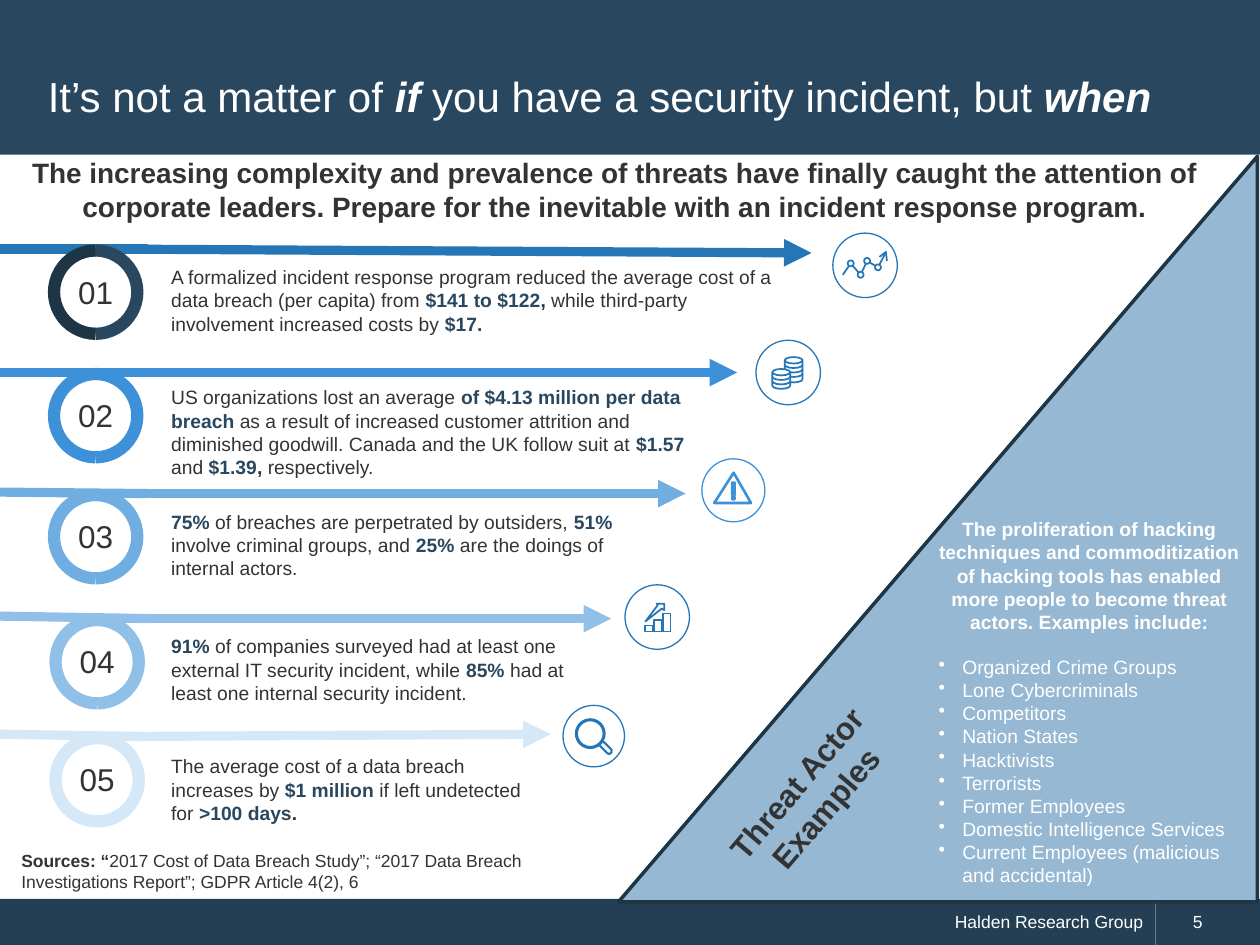
from lxml.etree import SubElement
from pptx import Presentation
from pptx.dml.color import RGBColor
from pptx.enum.shapes import MSO_CONNECTOR, MSO_SHAPE as Preset
from pptx.enum.text import MSO_ANCHOR as Anchor, PP_ALIGN as Align
from pptx.oxml.ns import qn
from pptx.util import Cm, Pt

COLORS = {
    "white": "FFFFFF", "text": "333333", "navy": "29475F", "footer": "243F54",
    "dark": "1E3546", "panel": "96B8D2", "icon": "2576B7",
    "blue2": "3C91D8", "blue3": "70AEE2", "blue4": "90C0E8", "blue5": "D5E8F7",
}
RING = 1.68  # diameter of the numbered rings


def rgb(name):
    return RGBColor.from_string(COLORS[name])


def strong(text, color="navy"):
    return text, {"bold": True, "color": color}


def paint(shape, fill=None, line=None, weight=1):
    shape.shadow.inherit = False
    if fill:
        shape.fill.solid()
        shape.fill.fore_color.rgb = rgb(fill)
    else:
        shape.fill.background()
    if line:
        shape.line.color.rgb = rgb(line)
        shape.line.width = Pt(weight)
    else:
        shape.line.fill.background()
    return shape


def add_preset(slide, preset, left, top, width, height, **style):
    shape = slide.shapes.add_shape(preset, Cm(left), Cm(top), Cm(width), Cm(height))
    return paint(shape, **style)


def add_arc(slide, box, start, end, **style):
    """Arc of the ellipse in box, clockwise between two angles in degrees."""
    arc = add_preset(slide, Preset.ARC, *box, **style)
    arc.adjustments[0], arc.adjustments[1] = start * 0.6, end * 0.6


def add_outline(slide, left, top, points, close=True, **style):
    corners = [(Cm(left + x), Cm(top + y)) for x, y in points]
    builder = slide.shapes.build_freeform(*corners[0], scale=1.0)
    builder.add_line_segments(corners[1:], close=close)
    return paint(builder.convert_to_shape(), **style)


def add_line(slide, start, end, color, weight=5.25, arrow=False):
    line = slide.shapes.add_connector(
        MSO_CONNECTOR.STRAIGHT, *(Cm(value) for value in (*start, *end)))
    line.line.color.rgb = rgb(color)
    line.line.width = Pt(weight)
    properties = line.element.find(qn("p:spPr"))
    if arrow:
        SubElement(properties.find(qn("a:ln")), qn("a:tailEnd"), type="triangle")
    SubElement(properties, qn("a:effectLst"))


def write(paragraph, runs, size=11, color="text", bold=False, align=Align.LEFT):
    """Fill a paragraph with runs: plain strings or (text, format) pairs."""
    paragraph.alignment = align
    for item in [runs] if isinstance(runs, str) else runs:
        text, style = (item, {}) if isinstance(item, str) else item
        run = paragraph.add_run()
        run.text = text
        run.font.name = "Arial"
        run.font.size = Pt(size)
        run.font.bold = style.get("bold", bold)
        run.font.italic = style.get("italic", False)
        run.font.color.rgb = rgb(style.get("color", color))


def add_text(slide, box, runs, anchor=Anchor.TOP, wrap=True, **style):
    shape = slide.shapes.add_textbox(*(Cm(value) for value in box))
    frame = shape.text_frame
    frame.word_wrap = wrap
    frame.vertical_anchor = anchor
    write(frame.paragraphs[0], runs, **style)
    return shape


# Icons: each is drawn inside a circle whose corner is (left, top)
def trend_icon(slide, left, top):
    dots = [(0.36, 0.61), (0.56, 0.84), (0.69, 0.56), (0.91, 0.69)]
    route = [(left + x, top + y) for x, y in [(0.2, 0.84), *dots, (1.07, 0.38)]]
    for start, end in zip(route, route[1:]):
        add_line(slide, start, end, "icon", 1)
    for x, y in route[1:-1]:
        add_preset(slide, Preset.OVAL, x - 0.06, y - 0.06, 0.12, 0.12, fill="white", line="icon")
    add_outline(slide, left, top, [(1.09, 0.56), (1.07, 0.38), (0.94, 0.48)],
                close=False, line="icon")


def coins_icon(slide, left, top):
    for x, y, height, bands in [(0.58, 0.34, 0.51, 3), (0.33, 0.58, 0.4, 2)]:
        x, y = left + x, top + y
        stack = add_preset(slide, Preset.CAN, x, y, 0.36, height, fill="white", line="icon")
        stack.adjustments[0] = 0.36
        for band in range(1, bands + 1):
            add_arc(slide, (x, y + 0.09 * band, 0.36, 0.13), 0, 180, line="icon")


def warning_icon(slide, left, top):
    style = {"line": "blue2", "weight": 1.5}
    add_outline(slide, left, top, [(0.25, 0.89), (0.64, 0.28), (0.99, 0.89)], **style)
    add_preset(slide, Preset.ROUNDED_RECTANGLE, left + 0.61, top + 0.48, 0.05, 0.25, **style)
    add_preset(slide, Preset.OVAL, left + 0.61, top + 0.76, 0.05, 0.06, **style)


def growth_icon(slide, left, top):
    for index, height in enumerate((0.12, 0.23, 0.36)):
        add_preset(slide, Preset.RECTANGLE, left + 0.41 + 0.18 * index,
                   top + 0.94 - height, 0.15, height, line="icon")
    add_outline(slide, left, top, [(0.79, 0.38), (0.64, 0.38), (0.66, 0.41), (0.41, 0.74),
                                   (0.74, 0.48), (0.79, 0.51)], line="icon")


def search_icon(slide, left, top):
    add_preset(slide, Preset.OVAL, left + 0.27, top + 0.29, 0.56, 0.56, line="icon", weight=1.75)
    handle = add_preset(slide, Preset.ROUNDED_RECTANGLE, left + 0.71, top + 0.8, 0.3, 0.11,
                        line="icon", weight=1.25)
    handle.adjustments[0] = 0.5
    handle.rotation = 45


# (colours of ring halves, arrow colour, ring corner, lead-in rise, arrow tip x,
#  arrow tip drop, text top, width and height, icon, circle corner and size,
#  circle colour, runs)
ROWS = [
    (("dark", "navy"), "icon", (1.09, 5.05), 0, 16.36, 0.08, (5.23, 12.78, 1.68),
     trend_icon, (16.79, 4.7, 1.3), "icon",
     ["A formalized incident response program reduced the average cost of a data breach "
      "(per capita) from ", strong("$141 to $122"), strong(",", "text"),
      " while third-party involvement increased costs by ", strong("$17.")]),
    (("blue2", "blue2"), "blue2", (1.09, 7.54), 0, 14.86, 0, (7.65, 11.43, 2.13),
     coins_icon, (15.24, 6.86, 1.3), "icon",
     ["US organizations lost an average ", strong("of $4.13 million per data breach"),
      " as a result of increased customer attrition and diminished goodwill. "
      "Canada and the UK follow suit at ", strong("$1.57 "), "and ", strong("$1.39"),
      strong(", ", "text"), "respectively."]),
    (("blue3", "blue3"), "blue3", (1.09, 9.98), 0.03, 13.82, 0, (10.16, 10.46, 1.68),
     warning_icon, (14.15, 9.25, 1.27), "blue2",
     [strong("75% "), "of breaches are perpetrated by outsiders, ", strong("51%"),
      " involve criminal groups, and ", strong("25%"), " are the doings of internal actors."]),
    (("blue4", "blue4"), "blue4", (1.12, 12.5), 0.05, 12.32, 0, (12.67, 9.12, 1.68),
     growth_icon, (12.6, 11.79, 1.3), "icon",
     [strong("91%"), " of companies surveyed had at least one external IT security incident, "
      "while ", strong("85% "), "had at least one internal security incident."]),
    (("blue5", "blue5"), "blue5", (1.12, 14.88), 0.05, 11.1, -0.05, (15.09, 7.7, 1.68),
     search_icon, (11.35, 14.22, 1.24), "icon",
     ["The average cost of a data breach increases by ", strong("$1 million"),
      " if left undetected for ", strong(">100 days"), strong(".", "text")]),
]


def add_fact(slide, number, halves, color, ring, rise, tip, drop, text, icon, circle,
             icon_color, runs):
    left, top = ring
    y = top - 0.03
    # Arrow and its lead-in from the slide edge
    add_line(slide, (left + RING / 2, y), (tip, y + drop), color, arrow=True)
    add_line(slide, (left + 1.9, y), (0, y - rise), color)
    # Numbered ring
    for half, start in zip(halves, (90, 270)):
        add_arc(slide, (left, top, RING, RING), start, 360 - start, line=half, weight=7)
    add_text(slide, (left + 0.23, top + 0.32, 1.22, 1.02), f"{number:02}", size=18,
             anchor=Anchor.MIDDLE, wrap=False, align=Align.CENTER)
    # Statement and icon
    add_text(slide, (3.2, *text), runs)
    x, y, size = circle
    add_preset(slide, Preset.OVAL, x, y, size, size, fill="white", line=icon_color, weight=0.75)
    icon(slide, x, y)


def add_header(slide, width, height):
    add_preset(slide, Preset.RECTANGLE, 0, 0, width, height, fill="navy")
    title = slide.shapes.title
    title.left, title.top, title.width, title.height = Cm(0.71), Cm(0.71), Cm(23.95), Cm(2.44)
    title.text_frame.vertical_anchor = Anchor.MIDDLE
    emphasis = {"bold": True, "italic": True}
    write(title.text_frame.paragraphs[0],
          ["It’s not a matter of ", ("if ", emphasis), "you have a security incident, but ",
           ("when", emphasis)], size=24, color="white")
    title.element.getparent().append(title.element)  # in front of the band


def add_footer(slide, top, height):
    for left, width, text, align in [(0, 23.29, "Halden Research Group", Align.RIGHT),
                                     (23.29, 2.11, "5", Align.LEFT)]:
        band = add_preset(slide, Preset.RECTANGLE, left, top, width, height, fill="footer")
        band.text_frame.vertical_anchor = Anchor.MIDDLE
        band.text_frame.margin_left = Cm(0.76)
        write(band.text_frame.paragraphs[0], text, size=10, color="white", align=align)


def add_threat_panel(slide, left, top, width, height):
    add_outline(slide, left, top, [(0, height), (width, 0), (width, height)],
                fill="panel", line="dark", weight=2)
    label = add_text(slide, (left + 1.25, top + 11.99, 5.26, 1.8), "Threat Actor Examples",
                     size=18, bold=True, align=Align.CENTER)
    label.rotation = 310.4
    box = add_text(slide, (left + 6.2, top + 7.16, 6.58, 7.77),
                   "The proliferation of hacking techniques and commoditization of hacking tools "
                   "has enabled more people to become threat actors. Examples include:",
                   color="white", bold=True, align=Align.CENTER)
    actors = ["Organized Crime Groups", "Lone Cybercriminals", "Competitors", "Nation States",
              "Hacktivists", "Terrorists", "Former Employees", "Domestic Intelligence Services",
              "Current Employees (malicious and accidental)"]
    for index, actor in enumerate(actors):
        paragraph = box.text_frame.add_paragraph()
        write(paragraph, actor, color="white")
        paragraph.space_before = Pt(0 if index else 12.65)
        properties = paragraph._p.get_or_add_pPr()
        properties.set("marL", str(Cm(0.48)))
        properties.set("indent", str(Cm(-0.48)))
        SubElement(properties, qn("a:buChar"), char="•")


def main():
    presentation = Presentation()
    presentation.slide_width, presentation.slide_height = Cm(25.4), Cm(19.05)
    slide = presentation.slides.add_slide(presentation.slide_layouts[5])
    add_footer(slide, 18.12, 0.93)
    add_header(slide, 25.4, 3.12)
    add_threat_panel(slide, 12.47, 3.15, 12.88, 15.03)
    # Key message
    message = add_text(slide, (0.18, 3.02, 24.43, 1.3),
                       "The increasing complexity and prevalence of threats have finally caught "
                       "the attention of corporate leaders. Prepare for the inevitable with an "
                       "incident response program.", size=16, bold=True, align=Align.CENTER)
    message.text_frame.paragraphs[0].space_before = Pt(3.2)
    for number, row in enumerate(ROWS, 1):
        add_fact(slide, number, *row)
    # Sources
    add_text(slide, (0.18, 17.02, 11.15, 1.12),
             [strong("Sources: “", "text"), "2017 Cost of Data Breach Study”; “2017 Data Breach "
              "Investigations Report”; GDPR Article 4(2), 6"], size=10)
    presentation.save("out.pptx")


if __name__ == "__main__":
    main()
